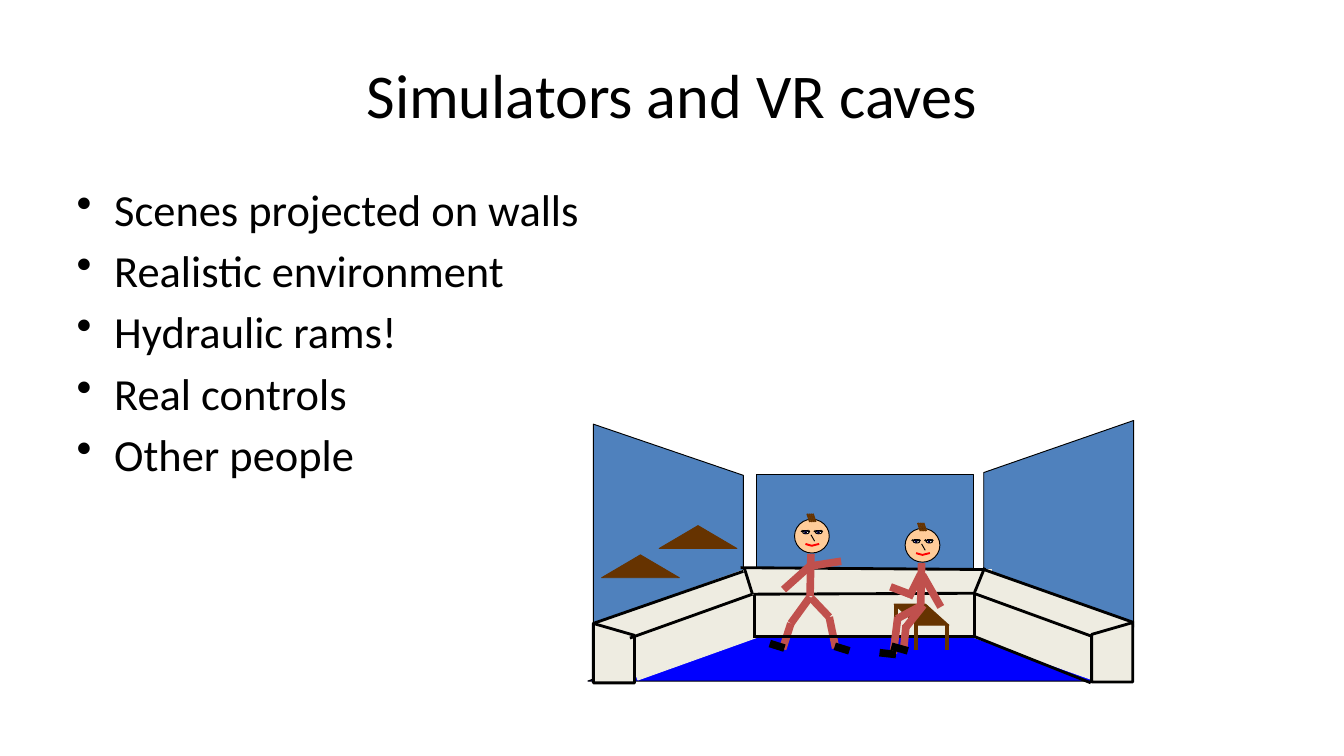
from lxml import etree
from pptx import Presentation
from pptx.dml.color import RGBColor
from pptx.enum.shapes import MSO_CONNECTOR, MSO_SHAPE
from pptx.enum.text import MSO_ANCHOR, PP_ALIGN
from pptx.oxml.ns import qn
from pptx.util import Cm, Pt

RECT, OVAL = MSO_SHAPE.RECTANGLE, MSO_SHAPE.OVAL
HILL, DESK_END = MSO_SHAPE.ISOSCELES_TRIANGLE, MSO_SHAPE.FLOWCHART_MANUAL_INPUT
SEAT = MSO_SHAPE.PARALLELOGRAM
STRAIGHT = MSO_CONNECTOR.STRAIGHT
LEFT, CENTER = PP_ALIGN.LEFT, PP_ALIGN.CENTER
TOP, MIDDLE = MSO_ANCHOR.TOP, MSO_ANCHOR.MIDDLE

COLORS = {"ink": "000000", "floor": "0000FF", "screen": "4F81BD", "desk": "EEECE1",
          "skin": "FFCC99", "eye": "FFFFFF", "iris": "0000FF", "lips": "FF0000",
          "brown": "663300", "clothes": "C0504D"}

# Content; scene places are in inches
TITLE = "Simulators and VR caves"
POINTS = ["Scenes projected on walls", "Realistic environment", "Hydraulic rams!",
          "Real controls", "Other people"]

FLOOR = [(12.35, 7.45), (10.66, 6.8), (8.12, 6.8), (6.43, 7.45)]
FRONT_SCREEN = (8.27, 5.19, 2.38, 1.15)
SIDE_SCREENS = [[(12.4, 4.6), (10.76, 5.17), (10.76, 6.3), (12.4, 6.86)],
                [(6.49, 4.64), (8.13, 5.2), (8.13, 6.33), (6.49, 6.9)]]
DESK_PANELS = [((6.54, 6.51, 1.74, 0.46), -19.7), ((6.84, 6.65, 1.86, 0.49), -19.7),
               ((10.64, 6.51, 1.74, 0.46), 19.7), ((10.23, 6.65, 1.86, 0.49), 19.7),
               ((8.15, 6.23, 2.7, 0.73), 0)]
DESK_ENDS = [((11.94, 6.81, 0.45, 0.65), False), ((6.49, 6.82, 0.45, 0.65), True)]
DESK_TOP_EDGES = [
    (6.89, 6.98, 8.23, 6.5), (6.49, 6.82, 8.13, 6.25), (8.14, 6.21, 8.23, 6.5),
    (11.94, 6.96, 10.65, 6.49), (12.4, 6.81, 10.76, 6.23), (10.77, 6.21, 10.66, 6.48),
    (8.1, 6.21, 10.75, 6.23), (8.24, 6.5, 10.66, 6.49)]
DESK_FRONT_EDGES = [(8.26, 6.96, 10.68, 6.96), (8.25, 6.51, 8.25, 6.98),
                    (10.66, 6.49, 10.66, 6.96), (11.93, 7.47, 10.65, 6.96)]

# Face parts, measured from the head's top left corner
HEAD_SIZE = (0.38, 0.37)
EYE_OFFSETS = [0.09, 0.23]
EYE_TOP = 0.13
EYE_PARTS = [((0, 0, 0.07, 0.03), "eye", 0.75), ((0.02, 0, 0.02, 0.03), "iris", 0.25),
             ((0.03, 0.01, 0.01, 0.01), "ink", 0.75)]
LASHES = [(0.04, -0.01, 0.04, 0), (0.06, -0.01, 0.05, 0), (0.06, 0.01, 0.08, 0),
          (0.06, 0.01, 0.07, -0.01), (0.05, -0.01, 0.05, 0), (0.03, -0.01, 0.03, 0),
          (0.01, -0.01, 0.01, 0), (0, 0.01, -0.02, 0), (0.01, 0.01, -0.01, -0.01),
          (0.02, -0.01, 0.02, 0)]
NOSE = [(0.18, 0.17, 0.22, 0.24)]
MOUTH = [(0.12, 0.27), (0.15, 0.28), (0.19, 0.29), (0.23, 0.28), (0.27, 0.27)]
HAIR = [(0.14 + 0.02 * i, -0.06, 0.17 + 0.02 * i, 0.03) for i in range(4)]

STANDING_HEAD, SEATED_HEAD = (8.69, 5.68), (9.9, 5.78)
STANDING_BODY = [
    (8.87, 6.06, 8.86, 6.52), (8.57, 6.45, 8.86, 6.19), (9.2, 6.14, 8.88, 6.19),
    (8.87, 6.54, 9.07, 6.75), (9.07, 6.75, 9.14, 7.09), (8.86, 6.53, 8.65, 6.82),
    (8.65, 6.82, 8.56, 7.1)]
STANDING_SHOES = [(9.13, 7.07, 9.29, 7.12), (8.42, 7.04, 8.58, 7.09)]
SEATED_BODY = [
    (10.08, 6.16, 10.07, 6.62), (9.94, 6.54, 10.07, 6.28), (10.29, 6.64, 10.09, 6.29),
    (10.1, 6.62, 9.91, 6.86), (9.91, 6.84, 9.88, 7.14), (10.07, 6.63, 9.81, 6.77),
    (9.82, 6.75, 9.77, 7.15), (9.74, 6.42, 9.95, 6.5)]
SEATED_SHOES = [(9.75, 7.07, 9.93, 7.12), (9.62, 7.14, 9.8, 7.16)]
STOOL_SEAT = (9.78, 6.61, 0.6, 0.23)
STOOL_BACK_LEG = [(9.8, 6.61, 9.8, 6.9)]
STOOL_FRONT_LEGS = [(10.02, 6.82, 10.02, 7.11), (10.36, 6.83, 10.36, 7.11)]
HILLS = [(6.58, 6.07, 0.85, 0.25), (7.21, 5.75, 0.85, 0.25)]


def cm(inches):
    return Cm(inches * 2.54)


def rgb(name):
    return RGBColor.from_string(COLORS[name])


def paint(shape, fill, line, width):
    shape.shadow.inherit = False
    if fill:
        shape.fill.solid()
        shape.fill.fore_color.rgb = rgb(fill)
    else:
        shape.fill.background()
    shape.line.color.rgb = rgb(line)
    shape.line.width = Pt(width)


def add_preset(kind, box, fill, line="ink", width=0.75, turn=0, mirrored=False):
    shape = slide.shapes.add_shape(kind, *map(cm, box))
    paint(shape, fill, line, width)
    shape.rotation = turn
    if mirrored:
        shape._element.spPr.find(qn("a:xfrm")).set("flipH", "1")
    return shape


def add_outline(points, fill, line="ink", width=0.75, closed=True):
    corners = [(cm(x), cm(y)) for x, y in points]
    builder = slide.shapes.build_freeform(*corners[0])
    builder.add_line_segments(corners[1:], close=closed)
    paint(builder.convert_to_shape(), fill, line, width)


def add_strokes(strokes, color, width, dx=0, dy=0):
    for x1, y1, x2, y2 in strokes:
        stroke = slide.shapes.add_connector(
            STRAIGHT, cm(x1 + dx), cm(y1 + dy), cm(x2 + dx), cm(y2 + dy))
        stroke.line.color.rgb = rgb(color)
        stroke.line.width = Pt(width)
        etree.SubElement(stroke._element.spPr, qn("a:effectLst"))


def add_text(lines, box, size, align=LEFT, anchor=TOP, bullet=None, gap=0):
    frame = slide.shapes.add_textbox(*map(cm, box)).text_frame
    frame.word_wrap = True
    frame.vertical_anchor = anchor
    frame.margin_left = frame.margin_right = cm(0.11)
    frame.margin_top = frame.margin_bottom = cm(0.06)
    for i, line in enumerate(lines):
        paragraph = frame.add_paragraph() if i else frame.paragraphs[0]
        paragraph.alignment = align
        if i:
            paragraph.space_before = Pt(gap)
        if bullet:
            properties = paragraph._p.get_or_add_pPr()
            properties.set("marL", str(cm(0.41)))
            properties.set("indent", str(-cm(0.41)))
            etree.SubElement(properties, qn("a:buChar")).set("char", bullet)
        run = paragraph.add_run()
        run.text = line
        run.font.name = "Calibri"
        run.font.size = Pt(size)
        run.font.color.rgb = rgb("ink")


def add_head(left, top):
    add_preset(OVAL, (left, top, *HEAD_SIZE), "skin")
    for offset in EYE_OFFSETS:
        eye_x, eye_y = left + offset, top + EYE_TOP
        for (x, y, w, h), fill, width in EYE_PARTS:
            add_preset(OVAL, (eye_x + x, eye_y + y, w, h), fill, width=width)
        add_strokes(LASHES, "ink", 0.75, eye_x, eye_y)
    add_strokes(NOSE, "ink", 0.75, left, top)
    add_outline([(left + x, top + y) for x, y in MOUTH], None, "lips", 1.5, closed=False)
    add_strokes(HAIR, "brown", 1.5, left, top)


prs = Presentation()
prs.slide_width, prs.slide_height = cm(14.7), cm(8.27)
slide = prs.slides.add_slide(prs.slide_layouts[6])

# Title and points
add_text([TITLE], (0.73, 0.33, 13.23, 1.38), 49, align=CENTER, anchor=MIDDLE)
add_text(POINTS, (0.73, 1.93, 13.23, 5.46), 35, bullet="•", gap=6.3)

# Room: floor, screens and desk
add_outline(FLOOR, "floor")
add_preset(RECT, FRONT_SCREEN, "screen")
for wall in SIDE_SCREENS:
    add_outline(wall, "screen")
for panel, turn in DESK_PANELS:
    add_preset(RECT, panel, "desk", "desk", turn=turn)
for end, mirrored in DESK_ENDS:
    add_preset(DESK_END, end, "desk", width=2.25, mirrored=mirrored)
add_strokes(DESK_TOP_EDGES, "ink", 2.25)

# Standing person, then the desk front
add_head(*STANDING_HEAD)
add_strokes(STANDING_BODY, "clothes", 6)
add_strokes(STANDING_SHOES, "ink", 6)
add_strokes(DESK_FRONT_EDGES, "ink", 2.25)

# Seated person on the stool
add_head(*SEATED_HEAD)
add_strokes(STOOL_BACK_LEG, "brown", 3)
add_preset(SEAT, STOOL_SEAT, "brown", "brown", mirrored=True).adjustments[0] = 1.108
add_strokes(SEATED_BODY, "clothes", 6)
add_strokes(SEATED_SHOES, "ink", 6)
add_strokes(STOOL_FRONT_LEGS, "brown", 3)

# Hills on the left screen
for hill in HILLS:
    add_preset(HILL, hill, "brown", "brown")

prs.save("out.pptx")
